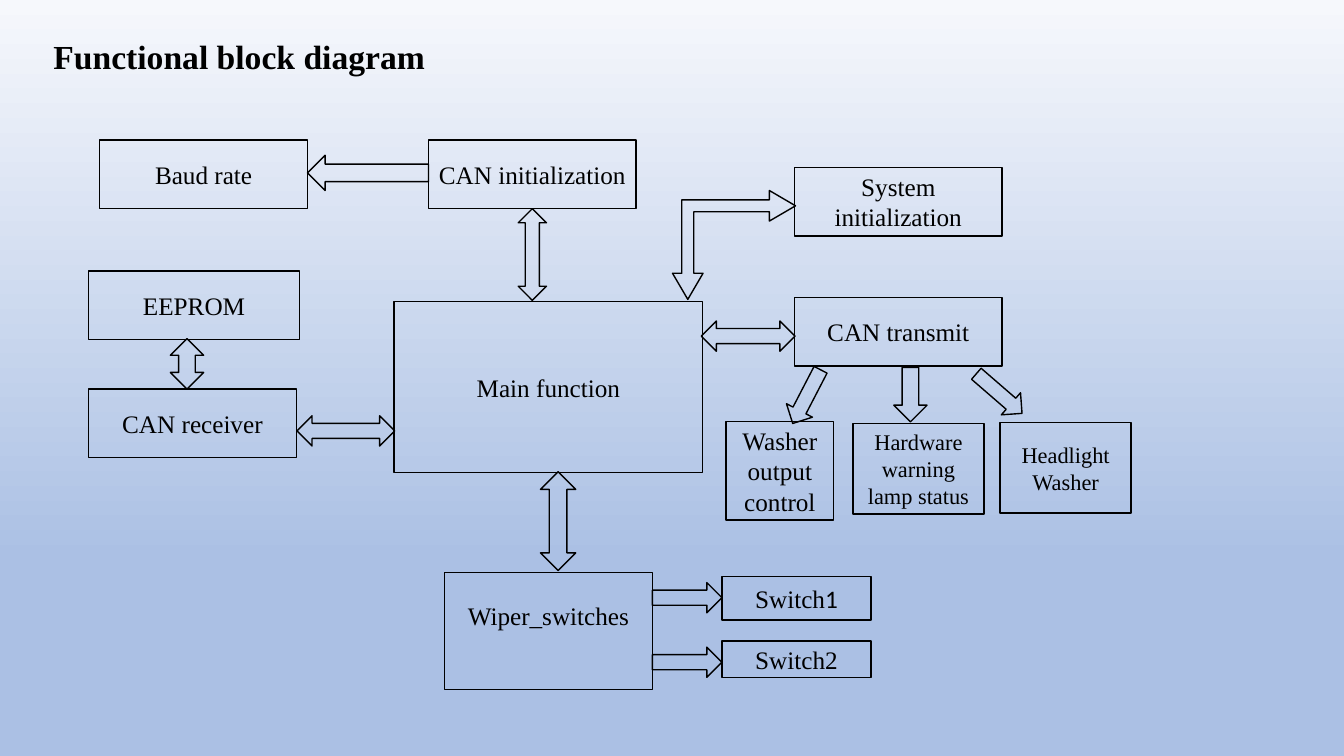
from copy import deepcopy

from pptx import Presentation
from pptx.dml import color
from pptx.enum import shapes, text
from pptx import util as u

PX = 9144  # 100 px to the inch
SHAPE = shapes.MSO_SHAPE


def rgb(value):
    return color.RGBColor.from_string(value)


class Diagram:
    """Style and current slide, with one method per kind of element."""
    font = "Times New Roman"
    ink = "000000"

    def __init__(self, deck):
        self.page = deck.slides.add_slide(deck.slide_layouts[5])

    def background(self, stops, angle):
        fill = self.page.background.fill
        fill.gradient()
        fill.gradient_angle = angle
        stop_list = self.page.element.xpath(".//a:gsLst")[0]
        while len(stop_list) < len(stops):
            stop_list.append(deepcopy(stop_list[-1]))
        for stop, (position, value) in zip(fill.gradient_stops, stops):
            stop.position = position
            stop.color.rgb = rgb(value)

    def style(self, paragraph, size, align, bold=False):
        paragraph.alignment = align
        font = paragraph.font
        font.name, font.size, font.bold = self.font, u.Pt(size), bold
        font.color.rgb = rgb(self.ink)

    def title(self, words, left, top, width, height):
        title = self.page.shapes.title
        title.left, title.top = left * PX, top * PX
        title.width, title.height = width * PX, height * PX
        frame = title.text_frame
        frame.text = words
        frame.word_wrap = True
        frame.auto_size = text.MSO_AUTO_SIZE.NONE
        frame.vertical_anchor = text.MSO_ANCHOR.MIDDLE
        paragraph = frame.paragraphs[0]
        paragraph.line_spacing = 0.9
        self.style(paragraph, 24, text.PP_ALIGN.LEFT, bold=True)

    def outline(self, kind, left, top, width, height):
        shape = self.page.shapes.add_shape(
            kind, left * PX, top * PX, width * PX, height * PX)
        shape.shadow.inherit = False
        shape.fill.background()
        shape.line.color.rgb = rgb(self.ink)
        shape.line.width = u.Pt(1)
        return shape

    def box(self, words, left, top, width=206, height=68, size=18):
        box = self.outline(SHAPE.RECTANGLE, left, top, width, height)
        frame = box.text_frame
        frame.word_wrap = True
        frame.vertical_anchor = text.MSO_ANCHOR.MIDDLE
        frame.text = words
        self.style(frame.paragraphs[0], size, text.PP_ALIGN.CENTER)
        return box

    def arrow(self, kind, left, top, width, height, turn=0, adjust=()):
        arrow = self.outline(kind, left, top, width, height)
        arrow.rotation = turn
        for index, value in enumerate(adjust):
            arrow.adjustments[index] = value


def main():
    deck = Presentation()
    deck.slide_width, deck.slide_height = 1333 * PX, 750 * PX
    diagram = Diagram(deck)
    diagram.background([(0, "F6F8FC"), (0.74, "ABC0E4"), (1, "ABC0E4")], 270)
    diagram.title("Functional block diagram", 43, 27, 441, 63)

    # Main blocks
    diagram.box("Main function", 391, 299, 306, 170)
    diagram.box("System initialization", 788, 166)
    diagram.box("CAN initialization", 425, 139)
    diagram.box("Baud rate", 99, 139)
    diagram.box("CAN transmit", 788, 295)
    diagram.box("CAN receiver", 88, 386)
    diagram.box("EEPROM", 88, 269, 209)
    wiper = diagram.box("Wiper_switches", 441, 568, height=116)
    wiper.text_frame.margin_bottom = 35 * PX  # raises the label

    # Switches
    switch = diagram.box("Switch", 716, 572, 148, 43)
    digit = switch.text_frame.paragraphs[0].add_run()
    digit.text = "1"
    digit.font.name = "Calibri"
    diagram.box("Switch2", 716, 636, 148, 36)
    for top in (578, 642):
        diagram.arrow(SHAPE.RIGHT_ARROW, 647, top, 69, 30)

    # Transmit outputs
    diagram.box("Washer output control", 720, 418, 107, 98)
    diagram.box("Hardware warning lamp status", 846, 420, 130, 90, 16)
    diagram.box("Headlight Washer", 992, 419, 130, 90, 16)
    diagram.arrow(SHAPE.RIGHT_ARROW, 770, 379, 60, 29, 117.4)
    diagram.arrow(SHAPE.RIGHT_ARROW, 876, 375, 54, 33, 90)
    diagram.arrow(SHAPE.RIGHT_ARROW, 961, 376, 60, 29, 40.9)

    # Links between blocks
    for left, top, width, height, turn in (
            (514, 207, 28, 91, 0),
            (536, 468, 35, 98, 180),
            (328, 379, 30, 97, 90),
            (727, 287, 30, 93, 90),
            (169, 336, 33, 50, 0)):
        diagram.arrow(SHAPE.UP_DOWN_ARROW, left, top, width, height, turn)
    diagram.arrow(SHAPE.LEFT_ARROW, 305, 154, 120, 35)
    diagram.arrow(SHAPE.LEFT_UP_ARROW, 667, 189, 122, 108, 180,
                  (0.11, 0.14, 0.24))

    deck.save("out.pptx")


if __name__ == "__main__":
    main()
